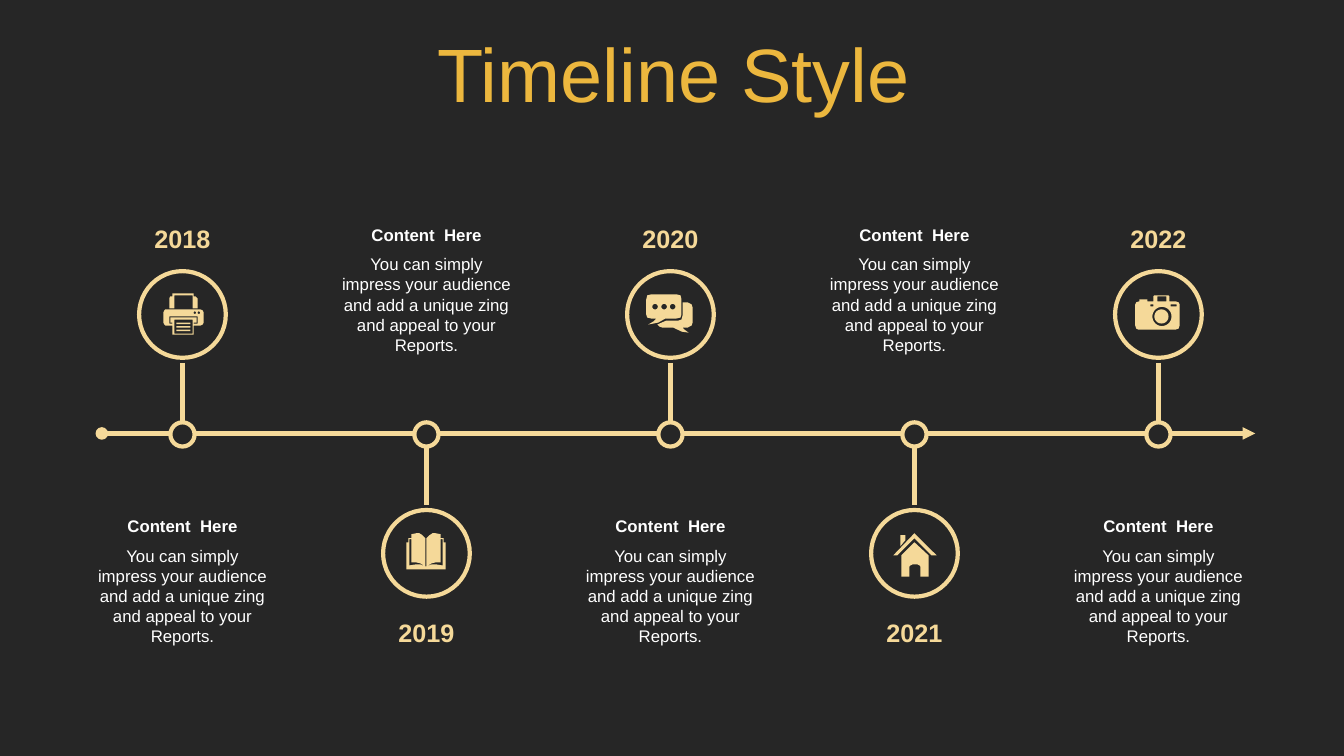
from math import cos, pi, sin

from lxml.etree import SubElement
from pptx import Presentation
from pptx.dml.color import RGBColor
from pptx.enum.shapes import MSO_CONNECTOR as Link, MSO_SHAPE as Preset
from pptx.enum.text import MSO_ANCHOR as Anchor, MSO_AUTO_SIZE as Fit, PP_ALIGN as Align
from pptx.oxml.ns import qn
from pptx.util import Inches, Pt

THEME = {
    "back": RGBColor.from_string("262626"),
    "gold": RGBColor.from_string("ECB73E"),
    "sand": RGBColor.from_string("F5D999"),
    "white": RGBColor.from_string("FFFFFF"),
    "font": "Arial",
    "title": Pt(54),
    "year": Pt(18),
    "body": Pt(12),
    "line": Pt(3),
}


def write(box, text, size, color, bold=False, anchor=Anchor.MIDDLE):
    frame = box.text_frame
    for name, value in {"word_wrap": True, "auto_size": Fit.NONE, "vertical_anchor": anchor}.items():
        setattr(frame, name, value)
    para = frame.paragraphs[0]
    para.alignment = Align.CENTER
    span = para.add_run()
    span.text = text
    for name, value in {"name": THEME["font"], "size": THEME[size], "bold": bold}.items():
        setattr(span.font, name, value)
    span.font.color.rgb = THEME[color]
    return para


def rounded(left, top, right, bottom, radius=0):
    steps = 8 if radius else 1
    corners = [
        (right - radius, bottom - radius),
        (left + radius, bottom - radius),
        (left + radius, top + radius),
        (right - radius, top + radius),
    ]
    return [
        (x + radius * cos((turn + step / steps) * pi / 2), y + radius * sin((turn + step / steps) * pi / 2))
        for turn, (x, y) in enumerate(corners)
        for step in range(steps + 1 if radius else 1)
    ]


PRINTER = [
    *[rounded(1.75, top, 1.89, top + 0.015) for top in (3.2, 3.235, 3.27)],
    rounded(1.73, 3.17, 1.91, 3.31),
    [(1.68, 3.14), (1.68, 3.21), (1.71, 3.21), (1.71, 3.2), (1.69, 3.2), (1.69, 3.15),
     (1.95, 3.15), (1.95, 3.2), (1.92, 3.2), (1.92, 3.21), (1.96, 3.21), (1.96, 3.14)],
    *[rounded(left, 3.09, left + 0.025, 3.115, 0.0125) for left in (1.92, 1.96)],
    [(1.64, 3.07), (1.99, 3.07), (2.01, 3.08), (2.02, 3.1), (2.02, 3.2), (2.01, 3.22),
     (1.99, 3.23), (1.92, 3.23), (1.92, 3.32), (1.71, 3.32), (1.71, 3.23), (1.64, 3.23),
     (1.63, 3.22), (1.62, 3.2), (1.62, 3.1), (1.63, 3.08)],
    [(1.71, 2.91), (1.92, 2.91), (1.92, 2.94), (1.94, 2.94), (1.96, 2.96), (1.96, 3.06),
     (1.91, 3.06), (1.91, 2.93), (1.73, 2.93), (1.73, 3.06), (1.68, 3.06), (1.68, 2.96),
     (1.69, 2.94), (1.71, 2.94)],
]
BOOK = [
    [(4.22, 5.62), (4.23, 5.62), (4.28, 5.6), (4.33, 5.6), (4.39, 5.61), (4.39, 5.35),
     (4.37, 5.35), (4.37, 5.58), (4.32, 5.58), (4.28, 5.59), (4.23, 5.62), (4.23, 5.34),
     (4.26, 5.31), (4.29, 5.29), (4.32, 5.29), (4.37, 5.3), (4.37, 5.34), (4.4, 5.34),
     (4.4, 5.38), (4.42, 5.38), (4.42, 5.65), (4.03, 5.65), (4.03, 5.38), (4.05, 5.38),
     (4.05, 5.34), (4.08, 5.34), (4.08, 5.3), (4.13, 5.29), (4.16, 5.29), (4.19, 5.31),
     (4.22, 5.34), (4.22, 5.62), (4.17, 5.59), (4.13, 5.58), (4.08, 5.58), (4.08, 5.35),
     (4.06, 5.35), (4.06, 5.61), (4.12, 5.6), (4.17, 5.6)],
]
CHAT = [
    *[rounded(left, 3.015, left + 0.055, 3.07, 0.0275) for left in (6.47, 6.56, 6.645)],
    [(6.77, 3), (6.82, 3), (6.86, 3.02), (6.87, 3.05), (6.87, 3.2), (6.86, 3.23), (6.82, 3.25),
     (6.77, 3.25), (6.79, 3.27), (6.83, 3.3), (6.76, 3.29), (6.68, 3.25), (6.57, 3.25),
     (6.54, 3.24), (6.52, 3.22), (6.61, 3.18), (6.73, 3.18), (6.76, 3.17), (6.77, 3.13)],
    [(6.46, 2.92), (6.71, 2.92), (6.75, 2.93), (6.76, 2.97), (6.76, 3.12), (6.75, 3.15),
     (6.71, 3.16), (6.6, 3.16), (6.53, 3.2), (6.43, 3.22), (6.48, 3.19), (6.51, 3.16),
     (6.46, 3.16), (6.42, 3.15), (6.41, 3.12), (6.41, 2.97), (6.42, 2.93)],
]
HOUSE = [
    [(9.07, 5.38), (9.21, 5.51), (9.21, 5.72), (9.13, 5.72), (9.13, 5.62), (9.12, 5.61),
     (9.1, 5.6), (9.05, 5.6), (9.03, 5.61), (9.02, 5.62), (9.02, 5.72), (8.94, 5.72), (8.94, 5.51)],
    [(8.93, 5.31), (8.98, 5.31), (8.98, 5.36), (8.93, 5.42)],
    [(9.07, 5.29), (9.29, 5.51), (9.24, 5.51), (9.07, 5.34), (8.9, 5.51), (8.86, 5.51)],
]
CAMERA = [
    rounded(11.45, 3.07, 11.59, 3.21, 0.07),
    rounded(11.43, 3.045, 11.62, 3.235, 0.095),
    rounded(11.41, 3.02, 11.44, 3.04),
    rounded(11.61, 3.02, 11.67, 3.04),
    rounded(11.48, 2.94, 11.57, 2.99),
    [(11.45, 2.93), (11.59, 2.93), (11.6, 2.94), (11.6, 2.99), (11.66, 2.99), (11.69, 3),
     (11.7, 3.02), (11.7, 3.23), (11.69, 3.26), (11.66, 3.27), (11.29, 3.27), (11.27, 3.26),
     (11.26, 3.23), (11.26, 3.02), (11.27, 3), (11.3, 2.99), (11.3, 2.97), (11.38, 2.97),
     (11.38, 2.99), (11.44, 2.99), (11.44, 2.94)],
]
STOPS = [("2018", PRINTER), ("2019", BOOK), ("2020", CHAT), ("2021", HOUSE), ("2022", CAMERA)]
HEADING = "Content  Here"
DETAIL = "You can simply impress your audience and add a unique zing and appeal to your Reports."
UPPER = {"stem": (3.6, 4.19), "badge": 2.69, "year": 2.17, "heading": 5.07}
LOWER = {"stem": (5.01, 4.42), "badge": 5.06, "year": 6.07, "heading": 2.18}
FIRST_X, STEP_X, AXIS_Y = 1.81, 2.42, 4.3
DOT, BADGE = 0.24, 0.86

deck = Presentation()
deck.slide_width, deck.slide_height = Inches(13.33), Inches(7.5)
page = deck.slides.add_slide(deck.slide_layouts[5])
page.background.fill.solid()
page.background.fill.fore_color.rgb = THEME["back"]
shapes = page.shapes

title = shapes.title
for name, value in {"left": 0.35, "top": 0.31, "width": 12.66, "height": 0.92}.items():
    setattr(title, name, Inches(value))
write(title, "Timeline Style", "title", "gold").line_spacing = 0.9

centers = [FIRST_X + STEP_X * index for index in range(len(STOPS))]
sides = [LOWER if index % 2 else UPPER for index in range(len(STOPS))]

routes = [(1.01, AXIS_Y, 12.45, AXIS_Y)]
routes += [(x, side["stem"][0], x, side["stem"][1]) for x, side in zip(centers, sides)]
lines = []
for route in routes:
    line = shapes.add_connector(Link.STRAIGHT, *map(Inches, route))
    line.line.color.rgb = THEME["sand"]
    line.line.width = THEME["line"]
    SubElement(line._element.spPr, qn("a:effectLst"))
    lines.append(line)
outline = lines[0].line._get_or_add_ln()
for end, kind in {"a:headEnd": "oval", "a:tailEnd": "triangle"}.items():
    SubElement(outline, qn(end), type=kind)

for x, side, (year, icon) in zip(centers, sides, STOPS):
    for size, top in ((DOT, AXIS_Y + 0.01 - DOT / 2), (BADGE, side["badge"])):
        circle = shapes.add_shape(Preset.OVAL, *map(Inches, (x - size / 2, top, size, size)))
        circle.shadow.inherit = False
        circle.line.color.rgb = THEME["sand"]
        circle.line.width = THEME["line"]
        if size == DOT:
            circle.fill.solid()
            circle.fill.fore_color.rgb = THEME["back"]
        else:
            circle.fill.background()

    points = [[(Inches(a), Inches(b)) for a, b in contour] for contour in icon]
    builder = shapes.build_freeform(*points[0][0])
    builder.add_line_segments(points[0][1:])
    for contour in points[1:]:
        builder.move_to(*contour[0])
        builder.add_line_segments(contour[1:])
    symbol = builder.convert_to_shape()
    symbol.shadow.inherit = False
    symbol.fill.solid()
    symbol.fill.fore_color.rgb = THEME["sand"]
    symbol.line.fill.background()

    for text, top, width, height, style in (
        (year, side["year"], 1.03, 0.4, ("year", "sand", True)),
        (HEADING, side["heading"], 1.88, 0.3, ("body", "white", True)),
        (DETAIL, side["heading"] + 0.29, 1.88, 1.11, ("body", "white", False, Anchor.TOP)),
    ):
        box = shapes.add_textbox(*map(Inches, (x - width / 2, top, width, height)))
        write(box, text, *style)

deck.save("out.pptx")
